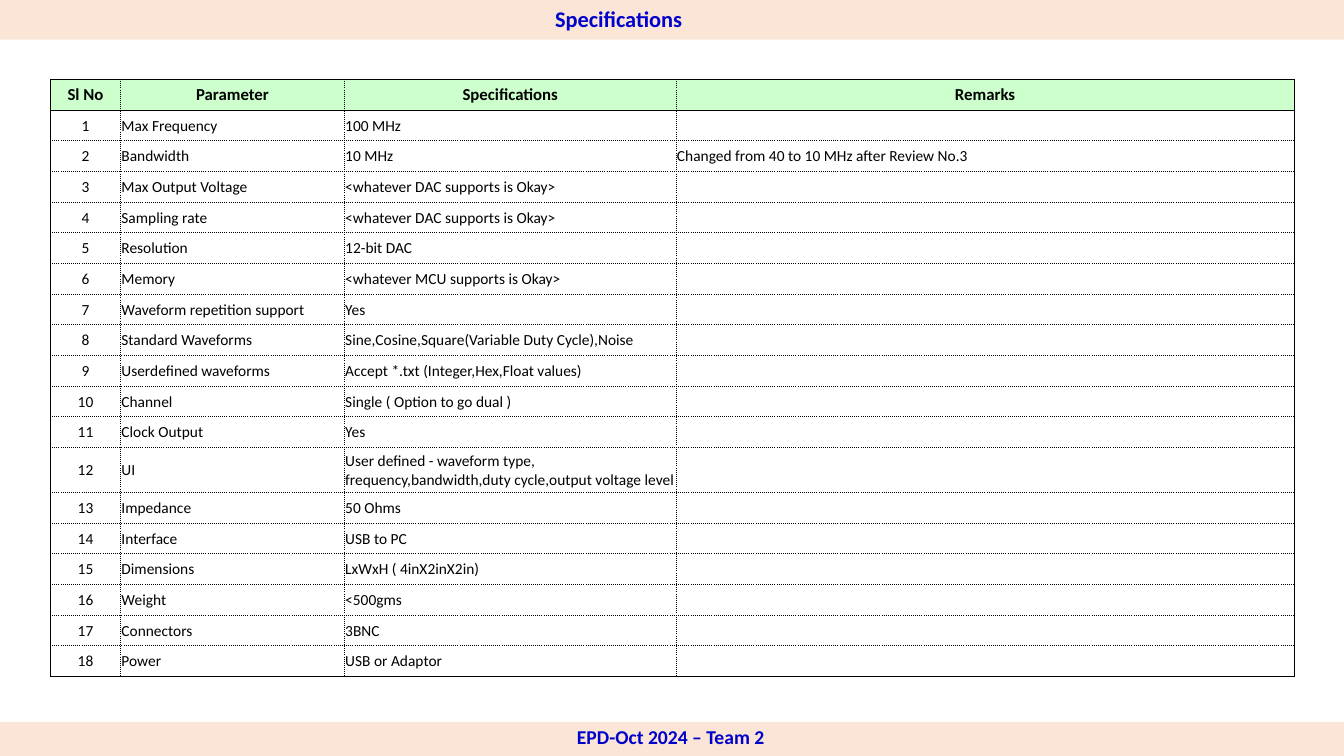
from lxml import etree
from pptx import Presentation
from pptx import util as u
from pptx.dml.color import RGBColor
from pptx.enum import shapes, text
from pptx.oxml.ns import qn

COLORS = {"band": "FBE5D6", "heading": "0000CC", "header": "CCFFCC", "ink": "000000"}
HEADINGS = ("Sl No", "Parameter", "Specifications", "Remarks")
SPECIFICATIONS = [
    ("Max Frequency", "100 MHz"),
    ("Bandwidth", "10 MHz"),
    ("Max Output Voltage", "<whatever DAC supports is Okay>"),
    ("Sampling rate", "<whatever DAC supports is Okay>"),
    ("Resolution", "12-bit DAC"),
    ("Memory", "<whatever MCU supports is Okay>"),
    ("Waveform repetition support", "Yes"),
    ("Standard Waveforms", "Sine,Cosine,Square(Variable Duty Cycle),Noise"),
    ("Userdefined waveforms", "Accept *.txt (Integer,Hex,Float values)"),
    ("Channel", "Single ( Option to go dual )"),
    ("Clock Output", "Yes"),
    ("UI", "User defined - waveform type, frequency,bandwidth,duty cycle,output voltage level"),
    ("Impedance", "50 Ohms"),
    ("Interface", "USB to PC"),
    ("Dimensions", "LxWxH ( 4inX2inX2in)"),
    ("Weight", "<500gms"),
    ("Connectors", "3BNC"),
    ("Power", "USB or Adaptor"),
]
REMARKS = {"Bandwidth": "Changed from 40 to 10 MHz after Review No.3"}
COLUMN_WIDTHS = (1.77, 5.64, 8.36, 15.57)
TABLE_HEIGHT = 15.06
TALL_ROW, TALL_HEIGHT = 12, 1.13


class SlideBuilder:
    font_name = "Calibri"

    def __init__(self, page):
        self.page = page

    def color(self, name):
        return RGBColor.from_string(COLORS[name])

    def style(self, para, size, color, bold=False):
        para.font.name = self.font_name
        para.font.size = u.Pt(size)
        para.font.bold = bold
        para.font.color.rgb = self.color(color)

    def band(self, top, height):
        band = self.page.shapes.add_shape(
            shapes.MSO_SHAPE.RECTANGLE, 0, u.Cm(top), u.Cm(33.87), u.Cm(height))
        band.shadow.inherit = False
        band.fill.solid()
        band.fill.fore_color.rgb = self.color("band")
        band.line.fill.background()

    def label(self, words, left, top, width, height, size):
        box = self.page.shapes.add_textbox(u.Cm(left), u.Cm(top), u.Cm(width), u.Cm(height))
        box.text_frame.word_wrap = False
        box.text_frame.auto_size = text.MSO_AUTO_SIZE.SHAPE_TO_FIT_TEXT
        para = box.text_frame.paragraphs[0]
        para.text = words
        self.style(para, size, "heading", bold=True)

    def borders(self, cell, dashes):
        properties = cell._tc.get_or_add_tcPr()
        for index, (side, dash) in enumerate(dashes.items()):
            line = etree.Element(qn(f"a:ln{side}"), w=str(u.Pt(0.5)))
            fill = etree.SubElement(line, qn("a:solidFill"))
            etree.SubElement(fill, qn("a:srgbClr"), val=COLORS["ink"])
            etree.SubElement(line, qn("a:prstDash"), val=dash)
            properties.insert(index, line)

    def cell(self, cell, words, is_header, centered):
        cell.margin_left = cell.margin_right = cell.margin_top = u.Cm(0.02)
        cell.margin_bottom = 0
        cell.vertical_anchor = text.MSO_ANCHOR.MIDDLE
        if is_header:
            cell.fill.solid()
            cell.fill.fore_color.rgb = self.color("header")
        else:
            cell.fill.background()
        para = cell.text_frame.paragraphs[0]
        para.text = words
        para.alignment = text.PP_ALIGN.CENTER if centered else text.PP_ALIGN.LEFT
        self.style(para, 12 if is_header else 11, "ink", bold=is_header)
        if not words:
            etree.SubElement(para._p, qn("a:endParaRPr"), sz="1100")

    def table(self, rows, left, top):
        last_row, last_column = len(rows) - 1, len(COLUMN_WIDTHS) - 1
        table = self.page.shapes.add_table(
            len(rows), len(COLUMN_WIDTHS), u.Cm(left), u.Cm(top),
            u.Cm(sum(COLUMN_WIDTHS)), u.Cm(TABLE_HEIGHT)).table
        table.horz_banding = table.first_row = False
        for column, width in zip(table.columns, COLUMN_WIDTHS):
            column.width = u.Cm(width)
        row_height = (TABLE_HEIGHT - TALL_HEIGHT) / last_row
        for r, values in enumerate(rows):
            table.rows[r].height = u.Cm(TALL_HEIGHT if r == TALL_ROW else row_height)
            for c, words in enumerate(values):
                cell = table.cell(r, c)
                self.cell(cell, words, is_header=r == 0, centered=r == 0 or c == 0)
                solid = {"L": c == 0, "R": c == last_column,
                         "T": r <= 1, "B": r in (0, last_row)}
                self.borders(cell, {side: "solid" if edge else "sysDot"
                                    for side, edge in solid.items()})


def main():
    deck = Presentation()
    deck.slide_width, deck.slide_height = u.Cm(33.87), u.Cm(19.05)
    slide = SlideBuilder(deck.slides.add_slide(deck.slide_layouts[6]))
    slide.band(0, 1)
    slide.band(18.19, 0.86)
    slide.label("EPD-Oct 2024 – Team 2", 14.29, 18.13, 5.28, 0.86, 14)
    rows = [HEADINGS] + [
        (str(number), parameter, value, REMARKS.get(parameter, ""))
        for number, (parameter, value) in enumerate(SPECIFICATIONS, 1)]
    slide.table(rows, 1.27, 2)
    slide.label("Specifications", 13.74, 0, 3.76, 0.94, 16)
    deck.save("out.pptx")


if __name__ == "__main__":
    main()
